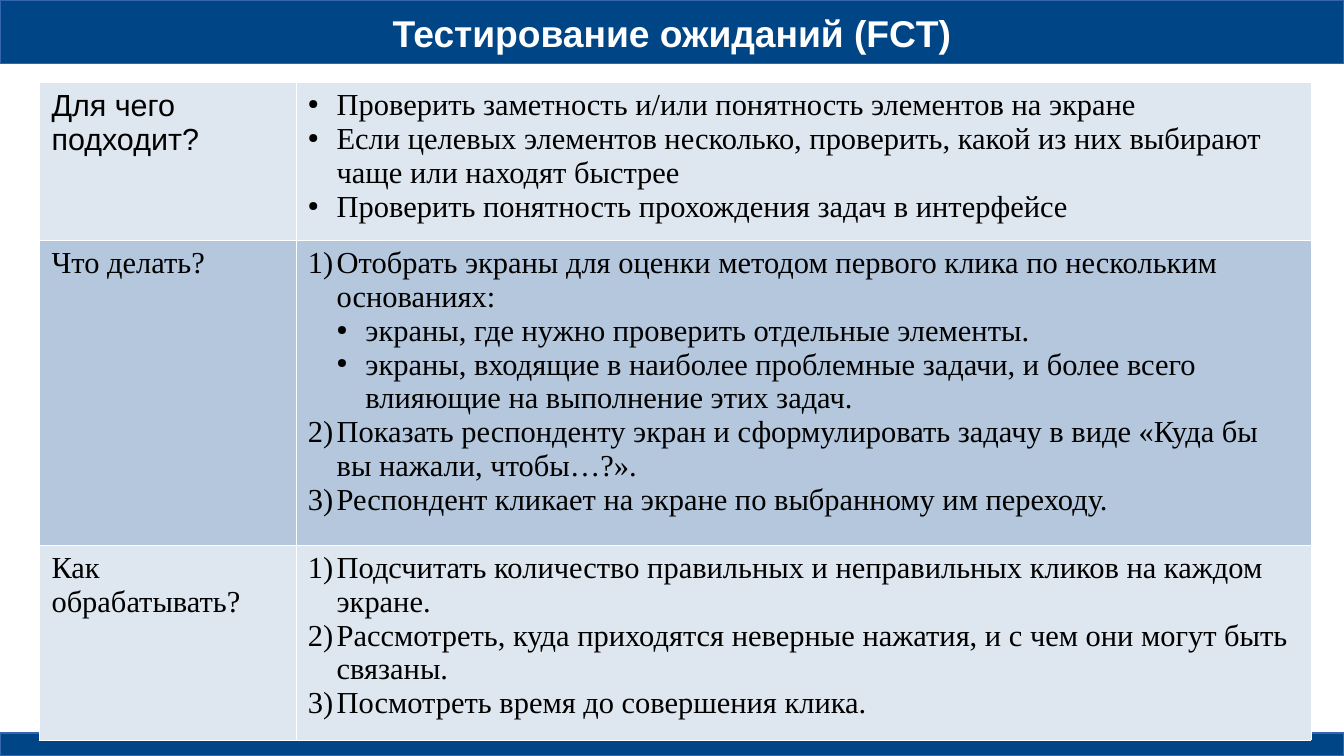
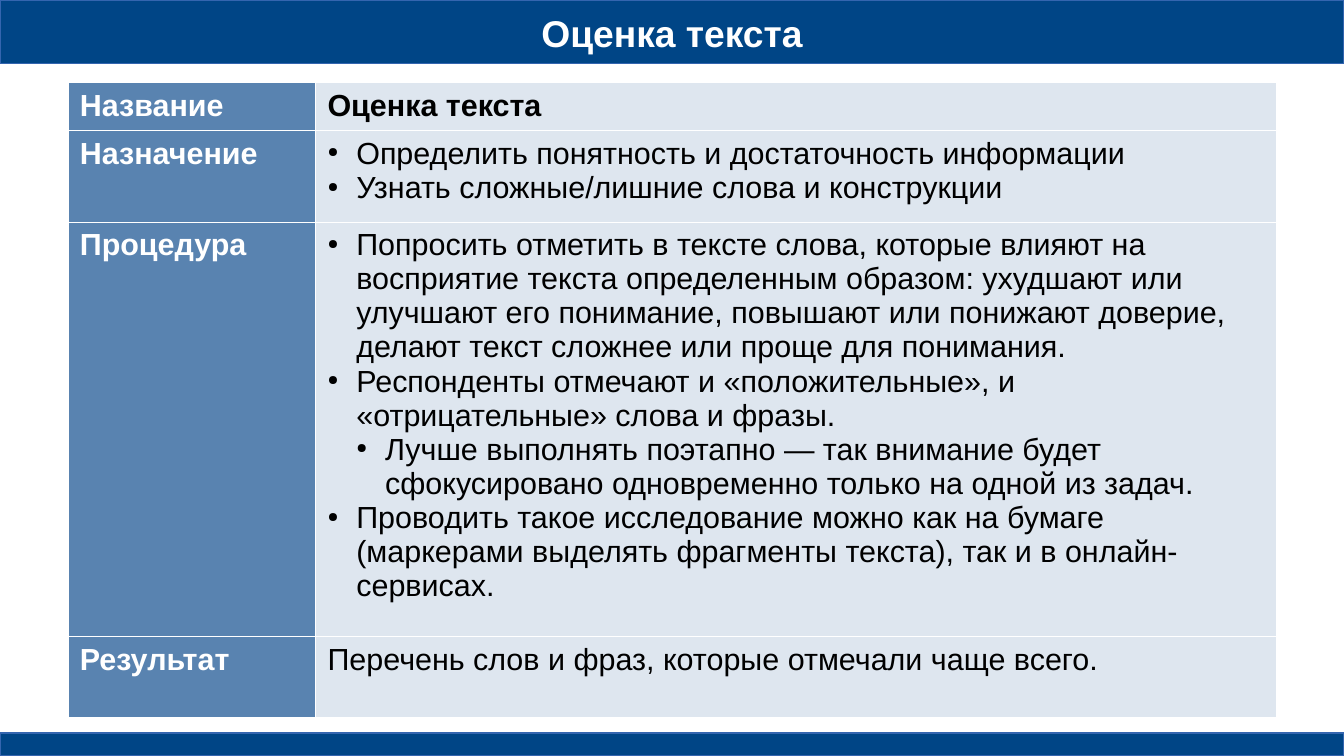
from dataclasses import dataclass
from enum import Enum

from lxml.etree import SubElement
from pptx import Presentation
from pptx.dml.color import RGBColor
from pptx.enum.shapes import MSO_SHAPE
from pptx.enum.text import MSO_ANCHOR, MSO_AUTO_SIZE, PP_ALIGN
from pptx.oxml.ns import qn
from pptx.util import Cm, Pt

COLORS = {
    "band": "004586",
    "band_line": "3465AF",
    "white": "FFFFFF",
    "text": "000000",
    "light": "DEE6EF",
    "medium": "B4C7DC",
    "label": "5983B0",
}
SANS, SERIF = "Arial", "Times New Roman"
SLIDE_WIDTH, SLIDE_HEIGHT = Cm(28), Cm(15.75)
TITLE_HEIGHT = Cm(1.35)
TABLE_TOP = Cm(1.72)
INDENT = Cm(0.6)


class Marker(Enum):
    NONE = 0
    BULLET = 1
    NUMBER = 2


@dataclass(frozen=True)
class Band:
    top: float
    height: float


@dataclass(frozen=True)
class Item:
    text: str
    marker: Marker = Marker.NONE
    level: int = 0


@dataclass(frozen=True)
class CellStyle:
    fill: str
    font: str = SANS
    color: str = "text"
    bold: bool = False


@dataclass(frozen=True)
class Row:
    height: float
    label: str
    items: list[Item]
    label_style: CellStyle
    body_style: CellStyle


@dataclass(frozen=True)
class TableSlide:
    title: str
    left: float
    columns: tuple[float, float]
    rows: list[Row]


BANDS = [Band(0, 1.32), Band(15.27, 0.48)]

LIGHT_SANS = CellStyle("light")
LIGHT_SERIF = CellStyle("light", SERIF)
MEDIUM_SERIF = CellStyle("medium", SERIF)
LABEL = CellStyle("label", color="white", bold=True)
HEADING = CellStyle("light", bold=True)


def bullet(text: str, level: int = 0) -> Item:
    return Item(text, Marker.BULLET, level)


def number(text: str) -> Item:
    return Item(text, Marker.NUMBER)


SLIDES = [
    TableSlide("Тестирование ожиданий (FCT)", 0.82, (5.34, 21.15), [
        Row(3.29, "Для чего подходит?", [
            bullet("Проверить заметность и/или понятность элементов на экране"),
            bullet("Если целевых элементов несколько, проверить, какой из них "
                   "выбирают чаще или находят быстрее"),
            bullet("Проверить понятность прохождения задач в интерфейсе"),
        ], LIGHT_SANS, LIGHT_SERIF),
        Row(6.35, "Что делать?", [
            number("Отобрать экраны для оценки методом первого клика по "
                   "нескольким основаниях:"),
            bullet("экраны, где нужно проверить отдельные элементы.", 1),
            bullet("экраны, входящие в наиболее проблемные задачи, и более "
                   "всего влияющие на выполнение этих задач.", 1),
            number("Показать респонденту экран и сформулировать задачу в виде "
                   "«Куда бы вы нажали, чтобы…?»."),
            number("Респондент кликает на экране по выбранному им переходу."),
        ], MEDIUM_SERIF, MEDIUM_SERIF),
        Row(4.06, "Как обрабатывать?", [
            number("Подсчитать количество правильных и неправильных кликов "
                   "на каждом экране."),
            number("Рассмотреть, куда приходятся неверные нажатия, и с чем "
                   "они могут быть связаны."),
            number("Посмотреть время до совершения клика."),
        ], LIGHT_SERIF, LIGHT_SERIF),
    ]),
    TableSlide("Оценка текста", 1.41, (5.16, 20.02), [
        Row(1, "Название", [Item("Оценка текста")], LABEL, HEADING),
        Row(1.9, "Назначение", [
            bullet("Определить понятность и достаточность информации"),
            bullet("Узнать сложные/лишние слова и конструкции"),
        ], LABEL, LIGHT_SANS),
        Row(8.64, "Процедура", [
            bullet("Попросить отметить в тексте слова, которые влияют на "
                   "восприятие текста определенным образом: ухудшают или "
                   "улучшают его понимание, повышают или понижают доверие, "
                   "делают текст сложнее или проще для понимания."),
            bullet("Респонденты отмечают и «положительные», и "
                   "«отрицательные» слова и фразы."),
            bullet("Лучше выполнять поэтапно — так внимание будет "
                   "сфокусировано одновременно только на одной из задач.", 1),
            bullet("Проводить такое исследование можно как на бумаге "
                   "(маркерами выделять фрагменты текста), так и в "
                   "онлайн-сервисах."),
        ], LABEL, LIGHT_SANS),
        Row(1.67, "Результат", [
            Item("Перечень слов и фраз, которые отмечали чаще всего."),
        ], LABEL, LIGHT_SANS),
    ]),
]


def rgb(name: str) -> RGBColor:
    return RGBColor.from_string(COLORS[name])


def format_font(font, name: str, size: float, color: str, bold: bool) -> None:
    font.name = name
    font.size = Pt(size)
    font.bold = bold
    font.color.rgb = rgb(color)


def add_layout_bands(slide, layout) -> None:
    """Draw the bands and move them behind the placeholders of the layout."""
    layout_tree = layout.element.cSld.spTree
    for position, band in enumerate(BANDS):
        shape = slide.shapes.add_shape(
            MSO_SHAPE.RECTANGLE, 0, Cm(band.top), SLIDE_WIDTH, Cm(band.height))
        shape.shadow.inherit = False
        shape.fill.solid()
        shape.fill.fore_color.rgb = rgb("band")
        shape.line.color.rgb = rgb("band_line")
        shape.line.width = Pt(0)
        layout_tree.insert(2 + position, shape.element)


def set_title(slide, text: str) -> None:
    title = slide.shapes.title
    title.left, title.top = 0, 0
    title.width, title.height = SLIDE_WIDTH, TITLE_HEIGHT
    text_frame = title.text_frame
    text_frame.text = text
    text_frame.auto_size = MSO_AUTO_SIZE.NONE
    text_frame.vertical_anchor = MSO_ANCHOR.MIDDLE
    text_frame.margin_left = text_frame.margin_right = 0
    text_frame.margin_top = text_frame.margin_bottom = 0
    paragraph = text_frame.paragraphs[0]
    paragraph.alignment = PP_ALIGN.CENTER
    format_font(paragraph.runs[0].font, SANS, 22, "white", True)


def set_marker(paragraph, item: Item) -> None:
    if item.marker is Marker.NONE:
        return
    paragraph.level = item.level
    properties = paragraph._p.get_or_add_pPr()
    properties.set("marL", str(INDENT * (item.level + 1)))
    properties.set("indent", str(-INDENT))
    color = SubElement(properties, qn("a:buClr"))
    SubElement(color, qn("a:srgbClr"), val=COLORS["text"])
    if item.marker is Marker.BULLET:
        SubElement(properties, qn("a:buSzPct"), val="45000")
        SubElement(properties, qn("a:buChar"), char="●")
    else:
        SubElement(properties, qn("a:buAutoNum"), type="arabicParenR")


def set_borders(cell) -> None:
    properties = cell._tc.get_or_add_tcPr()
    for side in ("lnL", "lnR", "lnT", "lnB"):
        line = SubElement(properties, qn(f"a:{side}"), w=str(Pt(0.06)))
        fill = SubElement(line, qn("a:solidFill"))
        SubElement(fill, qn("a:srgbClr"), val=COLORS["white"])


def fill_cell(cell, items: list[Item], style: CellStyle) -> None:
    set_borders(cell)
    cell.fill.solid()
    cell.fill.fore_color.rgb = rgb(style.fill)
    text_frame = cell.text_frame
    text_frame.text = "\n".join(item.text for item in items)
    for paragraph, item in zip(text_frame.paragraphs, items):
        set_marker(paragraph, item)
        format_font(paragraph.runs[0].font, style.font, 18, style.color,
                    style.bold)


def add_method_table(slide, content: TableSlide) -> None:
    width = Cm(sum(content.columns))
    height = Cm(sum(row.height for row in content.rows))
    table = slide.shapes.add_table(
        len(content.rows), len(content.columns),
        Cm(content.left), TABLE_TOP, width, height).table
    table.first_row = table.horz_banding = False
    for column, column_width in zip(table.columns, content.columns):
        column.width = Cm(column_width)
    for index, row in enumerate(content.rows):
        table.rows[index].height = Cm(row.height)
        fill_cell(table.cell(index, 0), [Item(row.label)], row.label_style)
        fill_cell(table.cell(index, 1), row.items, row.body_style)


def main() -> None:
    presentation = Presentation()
    presentation.slide_width = SLIDE_WIDTH
    presentation.slide_height = SLIDE_HEIGHT
    layout = presentation.slide_layouts.get_by_name("Title Only")
    for content in SLIDES:
        slide = presentation.slides.add_slide(layout)
        set_title(slide, content.title)
        add_method_table(slide, content)
    # The bands belong to the layout, so both slides share them
    add_layout_bands(presentation.slides[0], layout)
    presentation.save("out.pptx")


if __name__ == "__main__":
    main()
